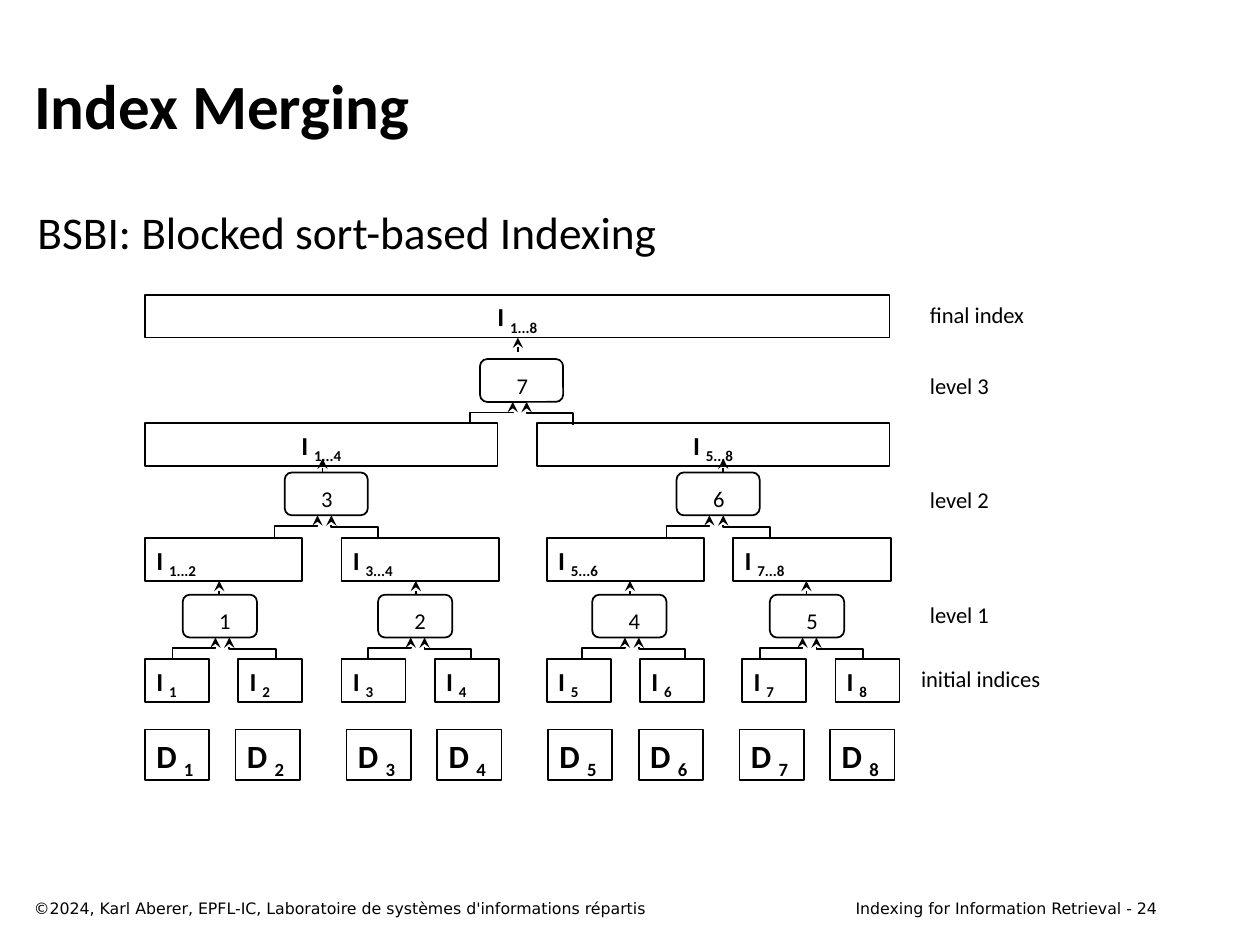
from lxml import etree
from pptx import Presentation
from pptx.dml.color import RGBColor
from pptx.enum import shapes, text
from pptx.oxml.ns import qn
from pptx.util import Inches, Pt

BLACK = RGBColor(0, 0, 0)
WHITE = RGBColor(255, 255, 255)
BODY = "Calibri"
FOOTER = "DejaVu Sans"
LEFT, CENTER, RIGHT = text.PP_ALIGN.LEFT, text.PP_ALIGN.CENTER, text.PP_ALIGN.RIGHT
BAR_H = 0.34
BLOCK_W = 0.51

INDEX_BARS = [
    (1.15, 2.34, 5.91, "1...8", CENTER),
    (1.15, 3.36, 2.8, "1...4", CENTER),
    (4.26, 3.36, 2.8, "5...8", CENTER),
    (1.15, 4.27, 1.25, "1...2", LEFT),
    (2.71, 4.27, 1.25, "3...4", LEFT),
    (4.34, 4.27, 1.25, "5...6", LEFT),
    (5.82, 4.27, 1.25, "7...8", LEFT),
]
INDEX_PAIRS = [1.15, 2.71, 4.34, 5.89]
DOCUMENT_PAIRS = [1.15, 2.75, 4.35, 5.87]
MERGES = [
    ("1", 1.45, 4.72, 0.59, 0.29, 0),
    ("2", 3, 4.72, 0.59, 0.3, 0),
    ("4", 4.7, 4.72, 0.59, 0.3, 0),
    ("5", 6.11, 4.72, 0.59, 0.29, 0),
    ("3", 2.26, 3.75, 0.66, 0.3, 0),
    ("6", 5.37, 3.75, 0.66, 0.37, 0),
    ("7", 3.81, 2.85, 0.66, 0.3, 0.06),
]
LABELS = [
    ("final index", 7.29, 2.34),
    ("level 3", 7.29, 2.9),
    ("level 2", 7.29, 3.81),
    ("level 1", 7.29, 4.72),
    ("initial indices", 7.22, 5.23),
]


def add_run(p, words, size, font=BODY, bold=False, subscript=False):
    r = p.add_run()
    r.text = words
    r.font.size = Pt(size)
    r.font.name = font
    r.font.bold = bold
    r.font.color.rgb = BLACK
    if subscript:
        r.font._element.set("baseline", "-25000")


def set_frame(tf, align, inset=0.09, wrap=True):
    tf.margin_left = tf.margin_right = Inches(inset)
    tf.margin_top = tf.margin_bottom = Inches(0.05)
    tf.vertical_anchor = text.MSO_ANCHOR.TOP
    tf.word_wrap = wrap
    p = tf.paragraphs[0]
    p.alignment = align
    return p


def add_text(s, words, x, y, w, h, size, align=LEFT, font=BODY, inset=0.09, wrap=True):
    sp = s.shapes.add_textbox(Inches(x), Inches(y), Inches(w), Inches(h))
    add_run(set_frame(sp.text_frame, align, inset, wrap), words, size, font)


def add_box(s, kind, x, y, w, h):
    sp = s.shapes.add_shape(kind, Inches(x), Inches(y), Inches(w), Inches(h))
    sp.shadow.inherit = False
    sp.fill.background()
    sp.line.color.rgb = BLACK
    sp.line.width = Pt(1)
    return sp


def add_block(s, letter, subscript, x, y, w, h, size, align=LEFT):
    sp = add_box(s, shapes.MSO_SHAPE.RECTANGLE, x, y, w, h)
    p = set_frame(sp.text_frame, align)
    add_run(p, letter + " ", size, bold=True)
    add_run(p, subscript, size, bold=True, subscript=True)
    return sp


def add_arrowhead(sp):
    sp.line.color.rgb = BLACK
    sp.line.width = Pt(1)
    etree.SubElement(sp.line._get_or_add_ln(), qn("a:tailEnd"), type="stealth")


def add_arrow(s, x, y1, y2):
    line = s.shapes.add_connector(
        shapes.MSO_CONNECTOR.STRAIGHT, Inches(x), Inches(y1), Inches(x), Inches(y2))
    add_arrowhead(line)
    etree.SubElement(line._element.spPr, qn("a:effectLst"))


def add_elbow(s, x1, x2, top, drop):
    middle = top + drop / 2
    points = [(x1, middle), (x2, middle), (x2, top)]
    builder = s.shapes.build_freeform(Inches(x1), Inches(top + drop))
    builder.add_line_segments([(Inches(x), Inches(y)) for x, y in points], close=False)
    sp = builder.convert_to_shape()
    sp.shadow.inherit = False
    sp.fill.background()
    add_arrowhead(sp)


def add_merge(s, number, x, y, w, arrow_dx, gap):
    sp = add_box(s, shapes.MSO_SHAPE.ROUNDED_RECTANGLE, x, y, w, BAR_H)
    sp.adjustments[0] = 0.167
    add_text(s, number, x + 0.15, y + 0.05, 0.37, 0.31, 12.9, CENTER)
    add_elbow(s, x - 0.08, x + 0.26, y + BAR_H, 0.17)
    add_elbow(s, x + 0.74, x + 0.37, y + BAR_H, 0.18)
    add_arrow(s, x + arrow_dx, y - gap, y - gap - 0.11)


def pair_positions(starts, step):
    return [x + dx for x in starts for dx in (0, step)]


def add_title(s, words):
    sp = s.shapes.title
    sp.left, sp.top, sp.width, sp.height = (Inches(v) for v in (0.17, 0.33, 9.08, 1))
    tf = sp.text_frame
    tf.vertical_anchor = text.MSO_ANCHOR.MIDDLE
    p = tf.paragraphs[0]
    p.alignment = LEFT
    add_run(p, words, 36, bold=True)


def main():
    prs = Presentation()
    prs.slide_width, prs.slide_height = Inches(10), Inches(7.5)
    s = prs.slides.add_slide(prs.slide_layouts[5])
    add_title(s, "Index Merging")
    add_text(s, "BSBI: Blocked sort-based Indexing", 0.18, 1.57, 5.15, 0.54, 25.9,
             CENTER, inset=0.1, wrap=False)

    for x, y, w, subscript, align in INDEX_BARS:
        add_block(s, "I", subscript, x, y, w, BAR_H, 14.8, align)
    for i, x in enumerate(pair_positions(INDEX_PAIRS, 0.74), 1):
        add_block(s, "I", str(i), x, 5.23, BLOCK_W, BAR_H, 14.8)
    for merge in MERGES:
        add_merge(s, *merge)
    for words, x, y in LABELS:
        add_text(s, words, x, y, 1.41, 0.31, 12.9)
    for i, x in enumerate(pair_positions(DOCUMENT_PAIRS, 0.72), 1):
        sp = add_block(s, "D", str(i), x, 5.79, BLOCK_W, 0.4, 18.5)
        sp.fill.solid()
        sp.fill.fore_color.rgb = WHITE

    add_text(s, "©2024, Karl Aberer, EPFL-IC, Laboratoire de systèmes d'informations répartis",
             0.17, 7.08, 6.42, 0.25, 9, font=FOOTER, inset=0.1)
    add_text(s, "Indexing for Information Retrieval - 24",
             6.37, 7.08, 2.91, 0.25, 9, RIGHT, FOOTER, 0.1)
    prs.save("out.pptx")


if __name__ == "__main__":
    main()
